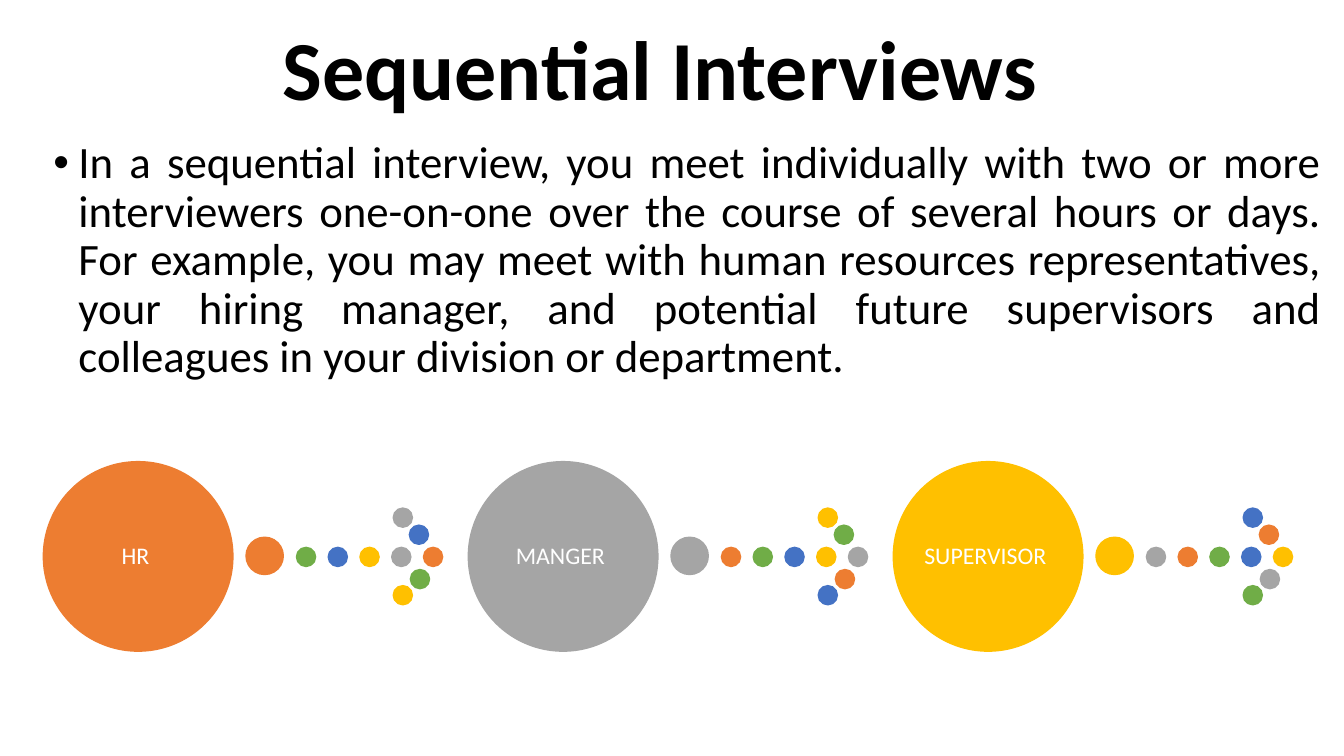
from dataclasses import dataclass

from lxml import etree
from pptx import Presentation
from pptx import util as u
from pptx.dml.color import RGBColor
from pptx.enum import shapes, text
from pptx.oxml.ns import qn


@dataclass(frozen=True)
class Theme:
    font: str = "Calibri"
    ink: str = "000000"
    pale: str = "FFFFFF"
    cycle: tuple = ("ED7D31", "A5A5A5", "FFC000", "4472C4", "70AD47")
    title: int = 60
    body: int = 32
    label: int = 17


THEME = Theme()
TITLE = "Sequential Interviews"
BODY = (
    "In a sequential interview, you meet individually with two or more "
    "interviewers one-on-one over the course of several hours or days. "
    "For example, you may meet with human resources representatives, "
    "your hiring manager, and potential future supervisors and "
    "colleagues in your division or department. "
)
STAGES = ("HR ", "MANGER ", "SUPERVISOR ")
DISC = 1.88
DOT = 0.19
KNOT = 0.37
STEP = 0.315
PITCH = 4.215
ROW = 0.85
DOTS = [(3.77 - i * STEP, ROW, DOT) for i in range(5)] + [
    (2.01, 0.75, KNOT),
    (3.47, 0.46, DOT),
    (3.47, 1.23, DOT),
    (3.63, 0.63, DOT),
    (3.64, 1.07, DOT),
]


def place(shape, box):
    shape.left, shape.top, shape.width, shape.height = map(u.Inches, box)


def write(shape, words, size, color=THEME.ink, bold=False,
          align=text.PP_ALIGN.CENTER, anchor=text.MSO_ANCHOR.MIDDLE,
          inset=None, bullet=None):
    frame = shape.text_frame
    frame.word_wrap = True
    frame.auto_size = text.MSO_AUTO_SIZE.NONE
    frame.vertical_anchor = anchor
    if inset is not None:
        frame.margin_left = frame.margin_right = u.Inches(inset)
        frame.margin_top = frame.margin_bottom = u.Inches(inset)
    para = frame.paragraphs[0]
    if bullet:
        props = para._p.get_or_add_pPr()
        props.set("marL", str(u.Inches(0.25)))
        props.set("indent", str(u.Inches(-0.25)))
        etree.SubElement(props, qn("a:buFont")).set("typeface", "Arial")
        etree.SubElement(props, qn("a:buChar")).set("char", bullet)
    para.alignment = align
    para.line_spacing = 0.9
    run = para.add_run()
    run.text = words
    run.font.name = THEME.font
    run.font.size = u.Pt(size)
    run.font.bold = bold
    run.font.color.rgb = RGBColor.from_string(color)


def add_disc(group, left, top, size, color):
    disc = group.shapes.add_shape(
        shapes.MSO_SHAPE.OVAL, *map(u.Inches, (left, top, size, size)))
    disc.shadow.inherit = False
    tint = RGBColor.from_string(color)
    disc.fill.solid()
    disc.fill.fore_color.rgb = tint
    disc.line.color.rgb = tint
    disc.line.width = u.Pt(1)


def add_title(slide, box):
    title = slide.shapes.title
    place(title, box)
    write(title, TITLE, THEME.title, bold=True)


def add_body(slide, box):
    body = slide.shapes.add_textbox(*map(u.Inches, box))
    write(body, BODY, THEME.body, align=text.PP_ALIGN.JUSTIFY,
          anchor=text.MSO_ANCHOR.TOP, bullet="•")


def add_stage(slide, left, top, label, start):
    group = slide.shapes.add_group_shape()
    hues = THEME.cycle
    for i, (x, y, size) in enumerate(DOTS):
        add_disc(group, left + x, top + y, size, hues[(start + i) % len(hues)])
    add_disc(group, left, top, DISC, hues[start])
    side = 1.33
    pad = (DISC - side) / 2
    name = group.shapes.add_textbox(
        *map(u.Inches, (left + pad, top + pad, side, side)))
    write(name, label, THEME.label, color=THEME.pale, inset=0.02)


def add_chain(slide, left, top):
    for i, label in enumerate(STAGES):
        add_stage(slide, left + i * PITCH, top, label, i)


def main():
    deck = Presentation()
    deck.slide_width = u.Inches(13.33)
    deck.slide_height = u.Inches(7.5)
    slide = deck.slides.add_slide(deck.slide_layouts[5])
    add_title(slide, (-0.12, 0, 13.33, 1.45))
    add_body(slide, (0.43, 1.34, 12.78, 5.42))
    add_chain(slide, 0.43, 4.58)
    deck.save("out.pptx")


if __name__ == "__main__":
    main()
